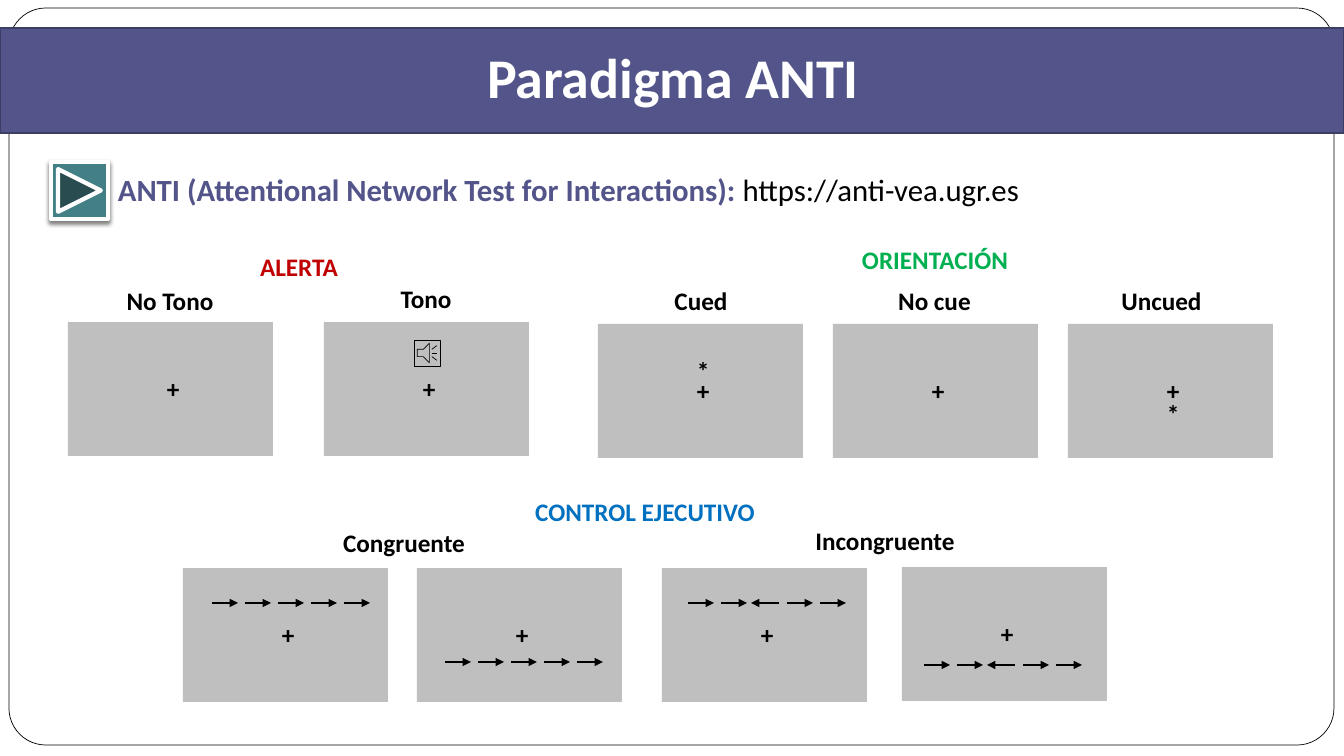
from lxml import etree
from pptx import Presentation
from pptx.dml.color import RGBColor
from pptx.enum.shapes import MSO_CONNECTOR as Connector, MSO_SHAPE as Shape
from pptx.enum.text import MSO_ANCHOR as Anchor, MSO_AUTO_SIZE as AutoSize, PP_ALIGN as Align
from pptx.oxml import parse_xml
from pptx.oxml.ns import nsdecls, qn
from pptx.util import Emu, Pt

BLACK = RGBColor(0x00, 0x00, 0x00)
WHITE = RGBColor(0xFF, 0xFF, 0xFF)
PURPLE = RGBColor(0x53, 0x54, 0x8A)
DARK_PURPLE = RGBColor(0x3D, 0x3E, 0x66)
TEAL = RGBColor(0x43, 0x80, 0x86)
GRAY = RGBColor(0xBF, 0xBF, 0xBF)
RED = RGBColor(0xC0, 0x00, 0x00)
GREEN = RGBColor(0x00, 0xB0, 0x50)
BLUE = RGBColor(0x00, 0x70, 0xC0)

SLIDE_WIDTH, SLIDE_HEIGHT = 1344, 756
PANEL_WIDTH, PANEL_HEIGHT = 205, 134
ARROW_PITCH, ARROW_LENGTH = 33, 26
CONGRUENT, INCONGRUENT = ">>>>>", ">><>>"


def px(length):
    return Emu(round(length * 12192000 / SLIDE_WIDTH))


class SlideBuilder:
    font_name = "Calibri"
    label_size = 18

    def __init__(self, presentation):
        self.slide = presentation.slides.add_slide(presentation.slide_layouts[6])

    def shape(self, kind, left, top, width, height, fill=None, line=None, line_width=1):
        shape = self.slide.shapes.add_shape(kind, px(left), px(top), px(width), px(height))
        shape.shadow.inherit = False
        if fill is None:
            shape.fill.background()
        else:
            shape.fill.solid()
            shape.fill.fore_color.rgb = fill
        if line is None:
            shape.line.fill.background()
        else:
            shape.line.color.rgb = line
            shape.line.width = Pt(line_width)
        return shape

    def drop_shadow(self, shape):
        effects = shape._element.spPr.find(qn("a:effectLst"))
        effects.append(parse_xml(
            f'<a:outerShdw {nsdecls("a")} blurRad="{Pt(3)}" dist="{Pt(2)}" dir="5400000" '
            'algn="t" rotWithShape="0"><a:srgbClr val="000000"><a:alpha val="50000"/>'
            '</a:srgbClr></a:outerShdw>'))

    def text(self, left, top, width, height, runs, size, align=Align.CENTER):
        """Add one paragraph; runs are (text, color, bold) triples."""
        box = self.slide.shapes.add_textbox(px(left), px(top), px(width), px(height))
        frame = box.text_frame
        frame.word_wrap = True
        frame.auto_size = AutoSize.SHAPE_TO_FIT_TEXT
        paragraph = frame.paragraphs[0]
        paragraph.alignment = align
        for content, color, bold in runs:
            run = paragraph.add_run()
            run.text = content
            run.font.name = self.font_name
            run.font.size = Pt(size)
            run.font.bold = bold
            run.font.color.rgb = color
        return frame

    def label(self, content, left, top, width, color=BLACK):
        self.text(left, top, width, 40, [(content, color, True)], self.label_size)

    def panel(self, left, top, asterisk_offset=None):
        """Add a stimulus screen with its fixation cross and optional cue."""
        self.shape(Shape.RECTANGLE, left, top, PANEL_WIDTH, PANEL_HEIGHT, GRAY)
        self.label("+", left + 89, top + 46, 27)
        if asterisk_offset is not None:
            self.label("*", left + 89, top + asterisk_offset, 27)

    def arrow(self, start, end, y):
        connector = self.slide.shapes.add_connector(
            Connector.STRAIGHT, px(start), px(y), px(end), px(y))
        connector.line.color.rgb = BLACK
        connector.line.width = Pt(2)
        etree.SubElement(connector.line._get_or_add_ln(), qn("a:tailEnd"), type="triangle")
        etree.SubElement(connector._element.spPr, qn("a:effectLst"))

    def arrow_row(self, left, y, directions):
        for index, direction in enumerate(directions):
            start = left + index * ARROW_PITCH
            end = start + ARROW_LENGTH
            if direction == "<":
                start, end = end - 1, start - 3
            self.arrow(start, end, y)


def add_header(builder):
    frame = builder.shape(Shape.ROUNDED_RECTANGLE, 9, 8, 1325, 737, WHITE, BLACK, 0.5)
    frame.adjustments[0] = 0.05
    builder.shape(Shape.RECTANGLE, 0, 28, SLIDE_WIDTH, 105, PURPLE, DARK_PURPLE)
    title = builder.text(15, 42, 1316, 78, [("Paradigma ANTI", WHITE, True)], 40)
    title.auto_size = AutoSize.NONE
    title.vertical_anchor = Anchor.BOTTOM
    title.margin_bottom = px(10)
    builder.text(108, 166, 1172, 47, [
        ("ANTI (Attentional Network Test for Interactions): ", PURPLE, True),
        ("https://anti-vea.ugr.es", BLACK, False),
    ], 22, Align.LEFT)
    button = builder.shape(Shape.ACTION_BUTTON_FORWARD_OR_NEXT, 51, 162, 57, 57, TEAL, WHITE, 3)
    builder.drop_shadow(button)


def add_orienting(builder):
    builder.label("ORIENTACIÓN", 760, 239, 350, GREEN)
    cues = [("Cued", 643, 116, 26), ("No cue", 871, 127, None), ("Uncued", 1098, 127, 69)]
    for index, (name, label_left, label_width, asterisk_offset) in enumerate(cues):
        builder.panel(598 + index * 235, 324, asterisk_offset)
        builder.label(name, label_left, 280, label_width)


def add_alerting(builder):
    builder.label("ALERTA", 195, 246, 208, RED)
    for name, panel_left, label_top in [("No Tono", 68, 280), ("Tono", 324, 278)]:
        builder.panel(panel_left, 322)
        builder.label(name, panel_left + 44, label_top, 116)
    builder.shape(Shape.ACTION_BUTTON_SOUND, 414, 340, 26, 26, line=BLACK, line_width=0.5)


def add_executive_control(builder):
    builder.label("CONTROL EJECUTIVO", 505, 491, 280, BLUE)
    builder.label("Congruente", 321, 522, 166)
    builder.label("Incongruente", 795, 520, 180)
    trials = [
        (183, 568, 212, 603, CONGRUENT),
        (417, 568, 445, 662, CONGRUENT),
        (662, 568, 688, 603, INCONGRUENT),
        (902, 567, 924, 665, INCONGRUENT),
    ]
    for panel_left, panel_top, arrows_left, arrows_y, directions in trials:
        builder.panel(panel_left, panel_top)
        builder.arrow_row(arrows_left, arrows_y, directions)


def main():
    presentation = Presentation()
    presentation.slide_width = px(SLIDE_WIDTH)
    presentation.slide_height = px(SLIDE_HEIGHT)
    builder = SlideBuilder(presentation)
    add_header(builder)
    add_orienting(builder)
    add_alerting(builder)
    add_executive_control(builder)
    presentation.save("out.pptx")


if __name__ == "__main__":
    main()
